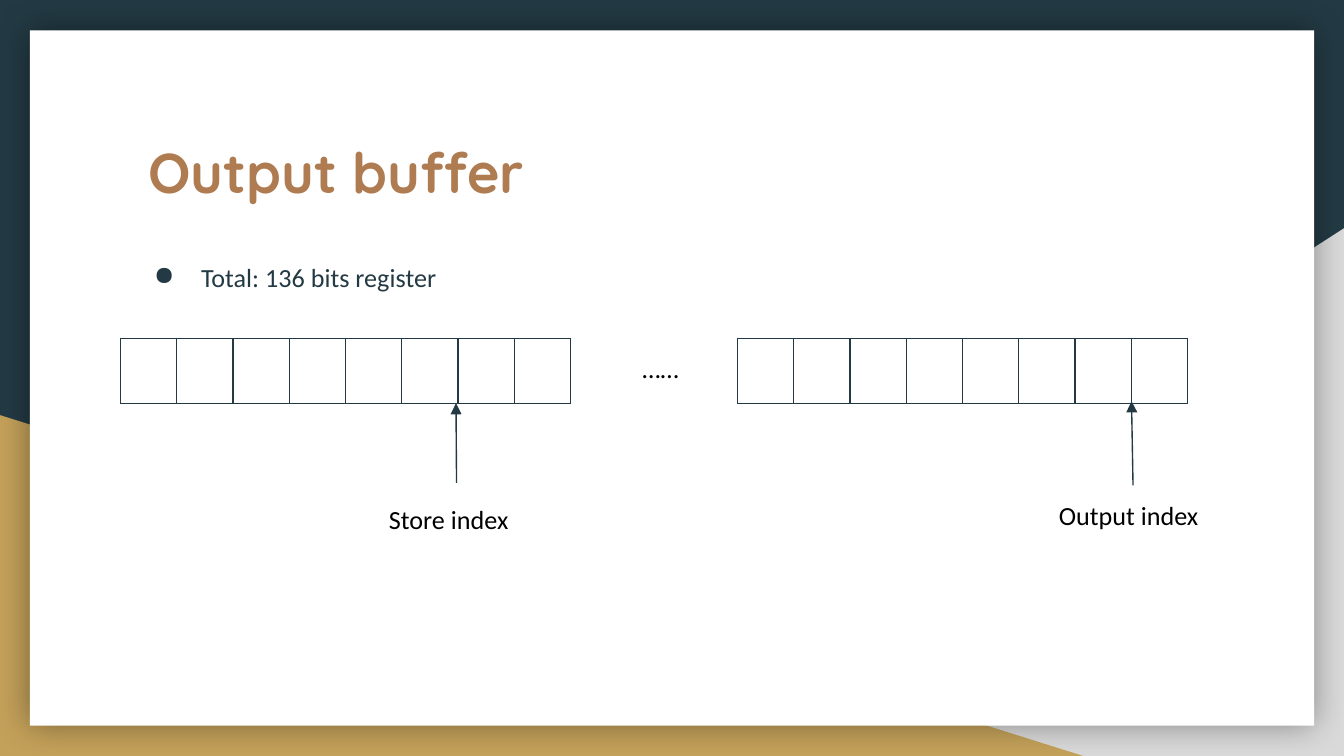
from dataclasses import dataclass

from lxml import etree
from pptx import Presentation
from pptx import util as u
from pptx.dml.color import RGBColor
from pptx.enum import shapes, text
from pptx.oxml import ns


@dataclass(frozen=True)
class Theme:
    navy: str = "233A44"
    gold: str = "C4A15A"
    grey: str = "D9D9D9"
    white: str = "FFFFFF"
    black: str = "000000"
    copper: str = "AF7B51"
    title_font: str = "Quicksand"
    body_font: str = "Calibri"
    title_size: float = 30
    body_size: float = 14
    line: float = 0.75


@dataclass(frozen=True)
class Box:
    left: float
    top: float
    width: float
    height: float

    def lengths(self) -> list:
        return [u.Pt(n) for n in (self.left, self.top, self.width, self.height)]


@dataclass(frozen=True)
class Panel:
    kind: int
    box: Box
    color: str
    flip: bool = False


@dataclass(frozen=True)
class Label:
    words: str
    box: Box


@dataclass(frozen=True)
class Arrow:
    start: tuple[float, float]
    end: tuple[float, float]


THEME = Theme()
BITS = 8
CELL_WIDTH, CELL_HEIGHT = 30.15, 34.7
REGISTER_TOP = 181.4
REGISTER_LEFTS = (64.6, 395.1)
TRIANGLE = shapes.MSO_SHAPE.RIGHT_TRIANGLE

PANELS = (
    Panel(TRIANGLE, Box(282.2, 122.3, 437.8, 282.7), THEME.grey, flip=True),
    Panel(TRIANGLE, Box(0, 222.4, 580.3, 182.6), THEME.gold),
    Panel(shapes.MSO_SHAPE.RECTANGLE, Box(16, 16.2, 688, 372.5), THEME.white),
)
LABELS = (
    Label("……", Box(337.1, 181.4, 51.1, 31.7)),
    Label("Output index", Box(560.2, 260.6, 98.6, 31.7)),
    Label("Store index", Box(201.3, 262.4, 98.6, 31.7)),
)
ARROWS = (
    Arrow((244.6, 258.7), (244.3, 216)),
    Arrow((607, 260), (606.2, 215)),
)


def rgb(color: str) -> RGBColor:
    return RGBColor.from_string(color)


def add_child(parent, tag: str, **attributes: str):
    return etree.SubElement(parent, ns.qn(tag), attributes)


def add_panel(page, panel: Panel):
    shape = page.shapes.add_shape(panel.kind, *panel.box.lengths())
    shape.shadow.inherit = False
    shape.fill.solid()
    shape.fill.fore_color.rgb = rgb(panel.color)
    shape.line.fill.background()
    if panel.flip:
        shape.element.spPr.find(ns.qn("a:xfrm")).set("flipH", "1")
    return shape


def add_glow(shape) -> None:
    """Give the card an even soft shadow on all sides."""
    effects = shape.element.spPr.find(ns.qn("a:effectLst"))
    shadow = add_child(effects, "a:outerShdw", blurRad=str(u.Pt(18)), dist="0",
                       dir="0", algn="ctr", rotWithShape="0")
    color = add_child(shadow, "a:srgbClr", val=THEME.black)
    add_child(color, "a:alpha", val="40000")


def write(shape, words: str, font: str, size: float, color: str, bold: bool = False):
    frame = shape.text_frame
    frame.text = words
    frame.word_wrap = True
    frame.vertical_anchor = text.MSO_ANCHOR.TOP
    frame.margin_left = frame.margin_right = u.Pt(7.2)
    frame.margin_top = frame.margin_bottom = u.Pt(7.2)
    para = frame.paragraphs[0]
    para.alignment = text.PP_ALIGN.LEFT
    span = para.runs[0]
    span.font.name, span.font.size, span.font.bold = font, u.Pt(size), bold
    span.font.color.rgb = rgb(color)
    return frame


def add_title(page, words: str) -> None:
    title = page.shapes.title
    title.left, title.top, title.width, title.height = Box(64.6, 66.4, 591, 74.9).lengths()
    frame = write(title, words, THEME.title_font, THEME.title_size, THEME.copper, bold=True)
    frame.auto_size = text.MSO_AUTO_SIZE.NONE
    frame.margin_left = u.Pt(14.7)
    # The placeholder comes first in the tree; bring it in front of the panels.
    page.shapes.element.append(title.element)


def add_bullet(page, words: str, box: Box) -> None:
    shape = page.shapes.add_textbox(*box.lengths())
    frame = write(shape, words, THEME.body_font, THEME.body_size, THEME.navy)
    para = frame.paragraphs[0]
    para.line_spacing = 1.15
    properties = para._p.get_or_add_pPr()
    properties.set("marL", str(u.Pt(36)))
    properties.set("indent", str(u.Pt(-25.2)))
    color = add_child(properties, "a:buClr")
    add_child(color, "a:srgbClr", val=THEME.navy)
    add_child(properties, "a:buChar", char="●")


def add_label(page, label: Label) -> None:
    shape = page.shapes.add_textbox(*label.box.lengths())
    frame = write(shape, label.words, THEME.body_font, THEME.body_size, THEME.black)
    frame.auto_size = text.MSO_AUTO_SIZE.SHAPE_TO_FIT_TEXT


def add_borders(cell) -> None:
    properties = cell._tc.get_or_add_tcPr()
    for side in ("a:lnL", "a:lnR", "a:lnT", "a:lnB"):
        line = add_child(properties, side, w=str(u.Pt(THEME.line)))
        fill = add_child(line, "a:solidFill")
        add_child(fill, "a:srgbClr", val=THEME.navy)


def add_register(page, left: float) -> None:
    box = Box(left, REGISTER_TOP, BITS * CELL_WIDTH, CELL_HEIGHT)
    table = page.shapes.add_table(1, BITS, *box.lengths()).table
    table.first_row = table.horz_banding = False
    for column in table.columns:
        column.width = u.Pt(CELL_WIDTH)
    for cell in table.iter_cells():
        add_borders(cell)
        cell.fill.background()


def add_arrow(page, arrow: Arrow) -> None:
    ends = [u.Pt(n) for n in arrow.start + arrow.end]
    line = page.shapes.add_connector(shapes.MSO_CONNECTOR.STRAIGHT, *ends)
    line.line.width = u.Pt(THEME.line)
    line.line.color.rgb = rgb(THEME.navy)
    add_child(line.line._get_or_add_ln(), "a:tailEnd", type="triangle")
    add_child(line.element.spPr, "a:effectLst")


def main() -> None:
    deck = Presentation()
    deck.slide_width, deck.slide_height = u.Pt(720), u.Pt(405)
    page = deck.slides.add_slide(deck.slide_layouts.get_by_name("Title Only"))
    page.background.fill.solid()
    page.background.fill.fore_color.rgb = rgb(THEME.navy)

    *_, card = [add_panel(page, panel) for panel in PANELS]
    add_glow(card)
    add_title(page, "Output buffer")
    for left in REGISTER_LEFTS:
        add_register(page, left)
    for label in LABELS:
        add_label(page, label)
    for arrow in ARROWS:
        add_arrow(page, arrow)
    add_bullet(page, "Total: 136 bits register", Box(64.6, 130.3, 591, 219))
    deck.save("out.pptx")


if __name__ == "__main__":
    main()
